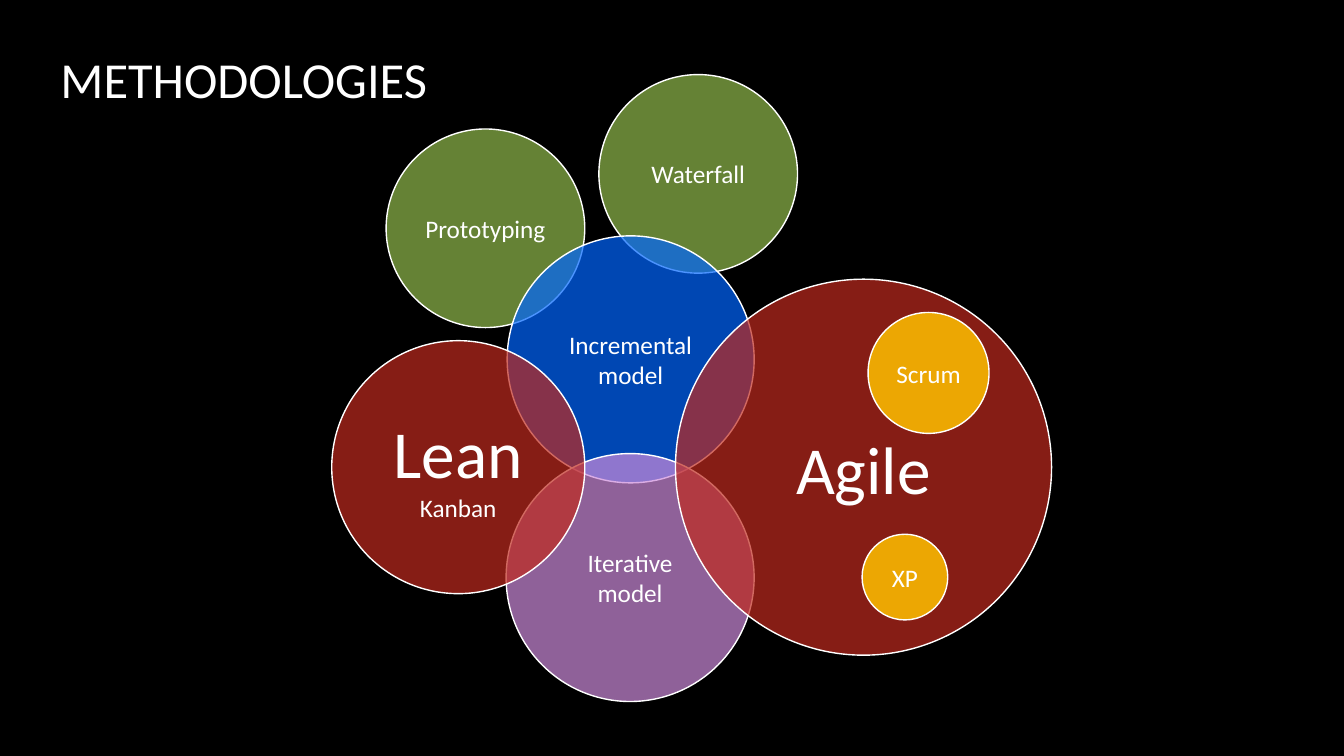
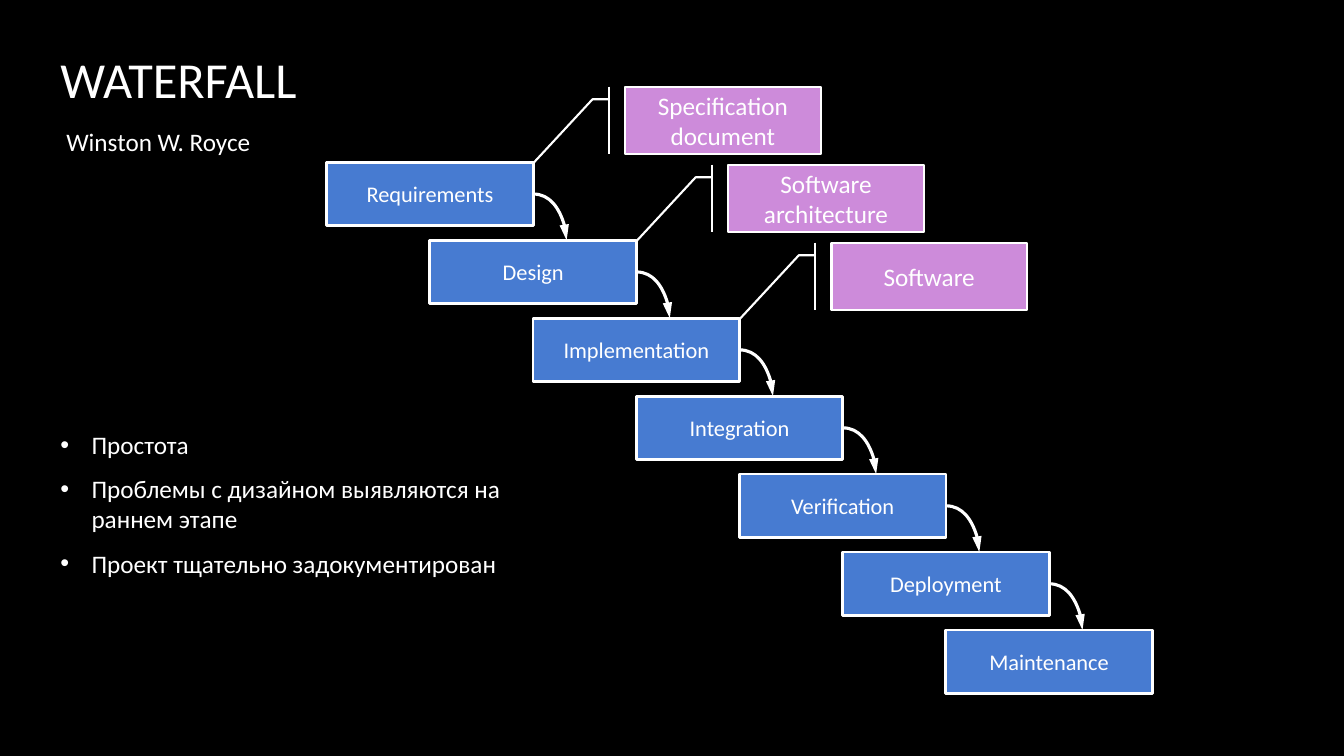
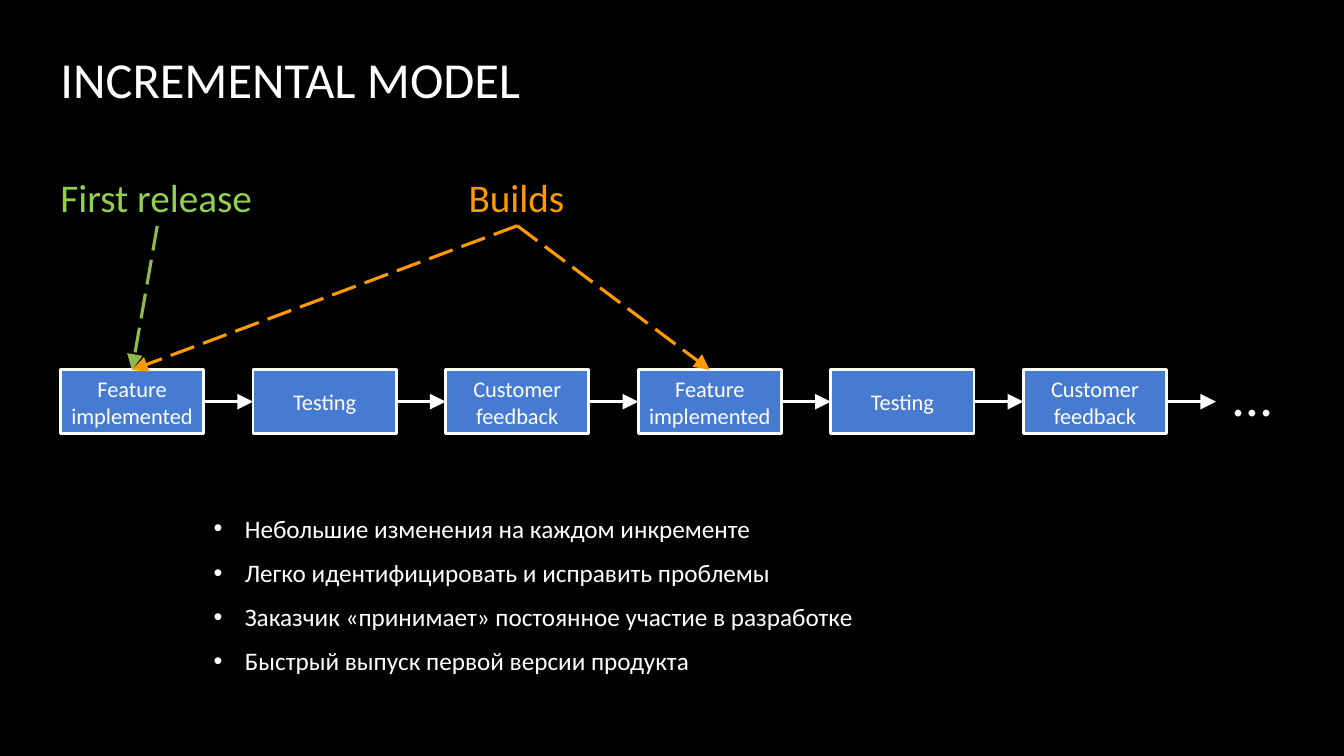
from dataclasses import dataclass
from lxml.etree import SubElement
from pptx import Presentation
from pptx.dml.color import RGBColor
from pptx.enum.dml import MSO_LINE
from pptx.enum.shapes import MSO_CONNECTOR, MSO_SHAPE
from pptx.enum.text import MSO_ANCHOR, MSO_AUTO_SIZE, PP_ALIGN
from pptx.oxml.ns import qn
from pptx.util import Inches, Pt


@dataclass(frozen=True)
class Theme:
    font: str = "Calibri"
    black: str = "000000"
    white: str = "FFFFFF"
    blue: str = "477BD1"
    royal: str = "0066FF"
    pink: str = "CD8BDA"
    red: str = "C02A1E"
    gold: str = "FFC000"
    orange: str = "FF9900"
    olive: str = "90BA4C"
    lime: str = "92D050"
    title: int = 36
    huge: int = 48
    dots: int = 40
    label: int = 28
    body: int = 18
    step: int = 16
    stroke: float = 2.25


theme = Theme()


def put(slide, kind, at, lines, color=theme.white, fill=None, edge=0):
    """Add a filled shape, or a plain text box when kind is None."""
    area = [Inches(n) for n in at]
    if kind is None:
        shape = slide.shapes.add_textbox(*area)
    else:
        shape = slide.shapes.add_shape(kind, *area)
        shape.shadow.inherit = False
        shape.fill.solid()
        shape.fill.fore_color.rgb = RGBColor.from_string(fill)
        shape.line.color.rgb = RGBColor.from_string(theme.white)
        shape.line.width = Pt(edge)
    frame = shape.text_frame
    frame.word_wrap = True
    frame.margin_left = Inches(0 if kind else 0.1)
    frame.margin_right = 0
    frame.vertical_anchor = MSO_ANCHOR.MIDDLE if kind else MSO_ANCHOR.TOP
    for i, (text, size) in enumerate(lines):
        para = frame.add_paragraph() if i else frame.paragraphs[0]
        para.alignment = PP_ALIGN.CENTER if kind else PP_ALIGN.LEFT
        run = para.add_run()
        run.text = text
        run.font.name = theme.font
        run.font.size = Pt(size)
        run.font.color.rgb = RGBColor.from_string(color)
    return shape


def link(slide, kind, start, end, color=theme.white, head="lg"):
    """Add an arrow between two points."""
    arrow = slide.shapes.add_connector(kind, *[Inches(n) for n in start + end])
    arrow.line.color.rgb = RGBColor.from_string(color)
    arrow.line.width = Pt(theme.stroke)
    props = arrow._element.spPr
    SubElement(props.find(qn("a:ln")), qn("a:tailEnd"),
               type="triangle", w=head, len="lg")
    SubElement(props, qn("a:effectLst"))
    return arrow


prs = Presentation()
prs.slide_width, prs.slide_height = Inches(13.33), Inches(7.5)
back = prs.slide_master.background.fill
back.solid()
back.fore_color.rgb = RGBColor.from_string(theme.black)

# Slides and titles
slides = []
for name in ("METHODOLOGIES", "WATERFALL", "INCREMENTAL MODEL"):
    slide = prs.slides.add_slide(prs.slide_layouts[5])
    title = slide.shapes.title
    title.left, title.top = Inches(0.5), Inches(0.29)
    title.width, title.height = Inches(4.78), Inches(0.98)
    frame = title.text_frame
    frame.auto_size = MSO_AUTO_SIZE.NONE
    frame.vertical_anchor = MSO_ANCHOR.MIDDLE
    frame.paragraphs[0].alignment = PP_ALIGN.LEFT
    run = frame.paragraphs[0].add_run()
    run.text = name
    run.font.name = theme.font
    run.font.size = Pt(theme.title)
    run.font.color.rgb = RGBColor.from_string(theme.white)
    slides.append(slide)
methods, falls, builds = slides

# Methodologies: overlapping circles (left, top, diameter, fill, opacity, lines)
body, huge = theme.body, theme.huge
circles = [
    (5.94, 0.74, 1.97, theme.olive, 70, [("Waterfall", body)]),
    (3.83, 1.28, 1.97, theme.olive, 70, [("Prototyping", body)]),
    (5.03, 2.34, 2.45, theme.royal, 70, [("Incremental", body), ("model", body)]),
    (5.02, 4.5, 2.46, theme.pink, 70, [("Iterative", body), ("model", body)]),
    (6.7, 2.77, 3.73, theme.red, 70, [("Agile", huge)]),
    (8.61, 3.1, 1.2, theme.gold, 85, [("Scrum", body)]),
    (3.29, 3.38, 2.51, theme.red, 70, [("Lean", huge), ("Kanban", body)]),
    (8.55, 5.3, 0.85, theme.gold, 85, [("XP", body)]),
]
for left, top, size, fill, alpha, lines in circles:
    disc = put(methods, MSO_SHAPE.OVAL, (left, top, size, size), lines,
               fill=fill, edge=1)
    tint = disc._element.spPr.find(qn("a:solidFill")).find(qn("a:srgbClr"))
    SubElement(tint, qn("a:alpha"), val=str(alpha * 1000))

# Waterfall: staircase of steps
steps = ["Requirements", "Design", "Implementation", "Integration",
         "Verification", "Deployment", "Maintenance"]
dx = (9.38 - 3.24) / (len(steps) - 1)
dy = (6.25 - 1.61) / (len(steps) - 1)
wide, high = 2.05, 0.63
for i, name in enumerate(steps):
    put(falls, MSO_SHAPE.RECTANGLE, (3.24 + i * dx, 1.61 + i * dy, wide, high),
        [(name, theme.step)], fill=theme.blue, edge=2)

# Curved arrows down the stairs
for i in range(len(steps) - 1):
    x, y = 3.24 + i * dx + wide, 1.61 + i * dy + high / 2
    curve = link(falls, MSO_CONNECTOR.CURVE, (x, y),
                 (x + 0.33, 1.61 + (i + 1) * dy), head="med")
    curve._element.spPr.find(qn("a:prstGeom")).set("prst", "curvedConnector2")

# Callouts for the results of the first steps
notes = [("Specification", "document"), ("Software", "architecture"), ("Software",)]
for i, words in enumerate(notes):
    put(falls, MSO_SHAPE.LINE_CALLOUT_2_BORDER_AND_ACCENT_BAR,
        (6.2 + i * dx, 0.86 + i * dy, 1.94, 0.67),
        [(word, body) for word in words], fill=theme.pink, edge=1.5)
put(falls, None, (0.56, 1.2, 2.1, 0.4), [("Winston W. Royce", body)])

# Incremental model: chain of boxes
wide, top = 1.42, 3.67
mid = top + high / 2
chain = []
for i, name in enumerate(["Feature implemented", "Testing", "Customer feedback"] * 2):
    left = 0.6 + i * 1.91
    box = put(builds, MSO_SHAPE.RECTANGLE, (left, top, wide, high),
              [(name, theme.step)], fill=theme.blue, edge=2)
    chain.append(box)
put(builds, None, (12.13, 3.53, 0.59, 0.77), [("…", theme.dots)])
for i, box in enumerate(chain):
    x = 0.6 + i * 1.91 + wide
    arrow = link(builds, MSO_CONNECTOR.STRAIGHT, (x, mid), (x + 0.49, mid))
    arrow.begin_connect(box, 3)
    if i + 1 < len(chain):
        arrow.end_connect(chain[i + 1], 1)

# Labels with dashed arrows (left, width, text, text colour, line colour, targets)
labels = [
    (4.55, 1.16, "Builds", theme.orange, theme.orange, (0, 3)),
    (0.5, 2.12, "First release", theme.lime, theme.olive, (0,)),
]
for left, size, text, color, stroke, goals in labels:
    tag = put(builds, None, (left, 1.67, size, 0.57), [(text, theme.label)], color)
    for goal in goals:
        arrow = link(builds, MSO_CONNECTOR.STRAIGHT, (left + size / 2, 2.24),
                     (0.6 + goal * 1.91 + wide / 2, top), stroke)
        arrow.line.dash_style = MSO_LINE.LONG_DASH
        arrow.begin_connect(tag, 2)
        arrow.end_connect(chain[goal], 0)

# Bullet lists
lists = [
    (falls, (0.5, 4.21, 4.67, 1.87), [
        "Простота",
        "Проблемы с дизайном выявляются на раннем этапе",
        "Проект тщательно задокументирован"]),
    (builds, (2.02, 5.04, 6.89, 1.87), [
        "Небольшие изменения на каждом инкременте",
        "Легко идентифицировать и исправить проблемы",
        "Заказчик «принимает» постоянное участие в разработке",
        "Быстрый выпуск первой версии продукта"]),
]
for slide, at, items in lists:
    box = put(slide, None, at, [(item, body) for item in items])
    for para in box.text_frame.paragraphs:
        para.space_after = Pt(10)
        props = para._p.get_or_add_pPr()
        props.set("marL", str(Inches(0.31)))
        props.set("indent", str(-Inches(0.31)))
        hue = SubElement(props, qn("a:buClr"))
        SubElement(hue, qn("a:srgbClr"), val=theme.white)
        SubElement(props, qn("a:buFont"), typeface="Arial")
        SubElement(props, qn("a:buChar"), char="•")

prs.save("out.pptx")
